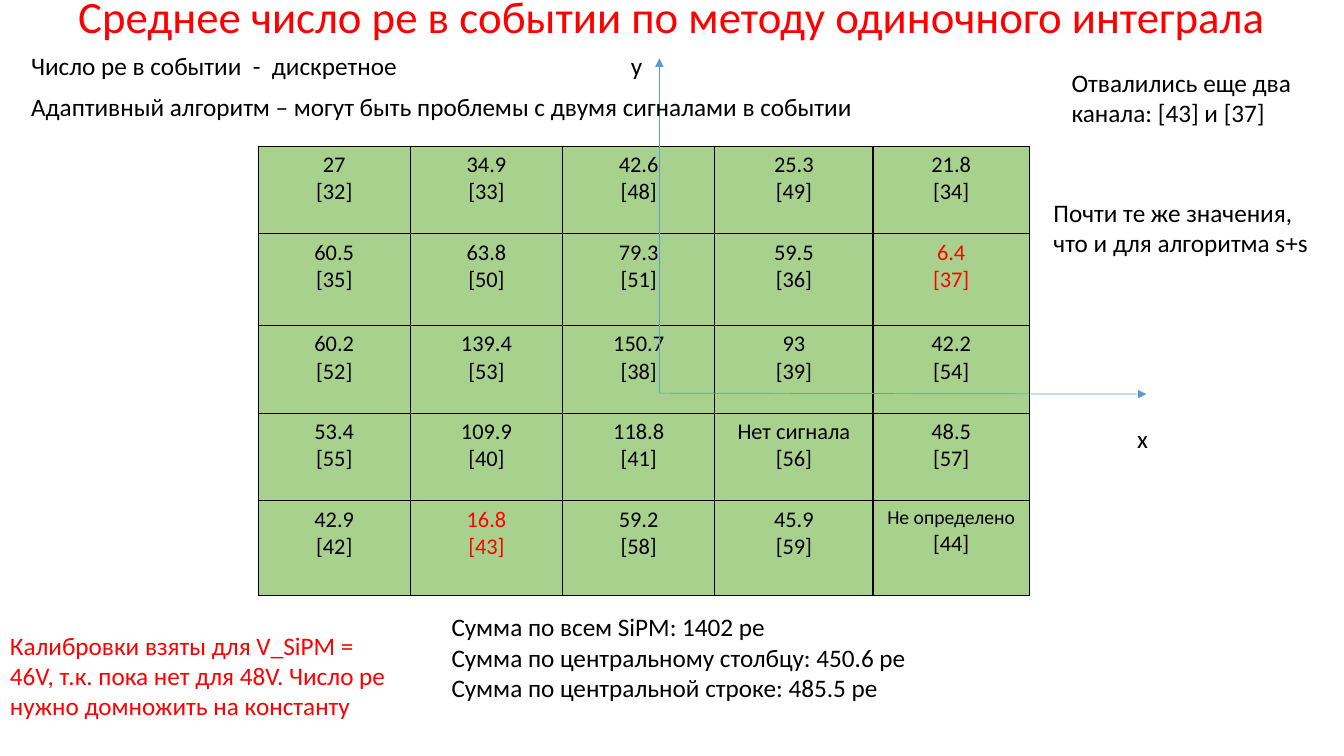
from lxml.etree import SubElement
from pptx import Presentation
from pptx.dml.color import RGBColor
from pptx.enum.shapes import MSO_CONNECTOR
from pptx.enum.text import MSO_ANCHOR, PP_ALIGN
from pptx.oxml import parse_xml
from pptx.oxml.ns import nsdecls, qn
from pptx.util import Pt

PX = 9144
SLIDE_SIZE = (1333, 750)
FONT = "Calibri"
BLACK = RGBColor(0x00, 0x00, 0x00)
RED = RGBColor(0xFF, 0x00, 0x00)
GREEN = RGBColor(0xA9, 0xD1, 0x8E)
BLUE = RGBColor(0x5B, 0x9B, 0xD5)

TITLE = "Среднее число pe в событии по методу одиночного интеграла"
TITLE_BOX = (0, 0, 1333, 86)
TITLE_BOTTOM_MARGIN = 49

GRID_CORNER = (256, 145)
COLUMN_WIDTHS = (151, 151, 151, 157, 155)
ROW_HEIGHTS = (87, 91, 87, 87, 94)
CHANNELS = [
    [("27", 32), ("34.9", 33), ("42.6", 48), ("25.3", 49), ("21.8", 34)],
    [("60.5", 35), ("63.8", 50), ("79.3", 51), ("59.5", 36), ("6.4", 37)],
    [("60.2", 52), ("139.4", 53), ("150.7", 38), ("93", 39), ("42.2", 54)],
    [("53.4", 55), ("109.9", 40), ("118.8", 41), ("Нет сигнала", 56), ("48.5", 57)],
    [("42.9", 42), ("16.8", 43), ("59.2", 58), ("45.9", 59), ("Не определено", 44)],
]
LOST_CHANNELS = {37, 43}
SMALL_VALUES = {"Не определено"}

AXIS_ORIGIN = (654, 390)
AXIS_ENDS = [(1137, 391), (654, 58)]

NOTES = [
    ((438, 602, 545, 101), BLACK, [
        "Сумма по всем SiPM: 1402 pe",
        "Сумма по центральному столбцу: 450.6 pe",
        "Сумма по центральной строке: 485.5 pe",
    ]),
    ((1118, 415, 32, 40), BLACK, ["x"]),
    ((616, 45, 32, 40), BLACK, ["y"]),
    ((21, 45, 479, 40), BLACK, ["Число pe в событии  -  дискретное"]),
    ((1053, 62, 243, 71), BLACK, ["Отвалились еще два канала: [43] и [37]"]),
    ((21, 86, 838, 40), BLACK,
     ["Адаптивный алгоритм – могут быть проблемы с двумя сигналами в событии"]),
    ((1035, 191, 282, 71), BLACK, ["Почти те же значения, что и для алгоритма s+s"]),
    ((0, 620, 409, 101), RED,
     ["Калибровки взяты для V_SiPM = 46V, т.к. пока нет для 48V. "
      "Число pe нужно домножить на константу"]),
]


def emu(lengths):
    return [length * PX for length in lengths]


def write(frame, lines, color, align=PP_ALIGN.LEFT):
    frame.word_wrap = True
    for index, (text, size) in enumerate(lines):
        paragraph = frame.paragraphs[0] if index == 0 else frame.add_paragraph()
        paragraph.alignment = align
        run = paragraph.add_run()
        run.text = text
        run.font.name = FONT
        run.font.size = Pt(size)
        run.font.color.rgb = color


def add_borders(cell):
    properties = cell._tc.get_or_add_tcPr()
    for index, side in enumerate(("lnL", "lnR", "lnT", "lnB")):
        properties.insert(index, parse_xml(
            f'<a:{side} {nsdecls("a")} w="{Pt(1)}"><a:solidFill>'
            f'<a:srgbClr val="{BLACK}"/></a:solidFill></a:{side}>'))


def add_grid(slide):
    size = (sum(COLUMN_WIDTHS), sum(ROW_HEIGHTS))
    grid = slide.shapes.add_table(
        len(ROW_HEIGHTS), len(COLUMN_WIDTHS), *emu(GRID_CORNER + size)).table
    grid.first_row = False
    grid.horz_banding = False
    for column, width in zip(grid.columns, COLUMN_WIDTHS):
        column.width = width * PX
    for row, height, channels in zip(grid.rows, ROW_HEIGHTS, CHANNELS):
        row.height = height * PX
        for cell, (value, channel) in zip(row.cells, channels):
            cell.fill.solid()
            cell.fill.fore_color.rgb = GREEN
            add_borders(cell)
            lines = [(value, 14 if value in SMALL_VALUES else 16), (f"[{channel}]", 16)]
            color = RED if channel in LOST_CHANNELS else BLACK
            write(cell.text_frame, lines, color, PP_ALIGN.CENTER)


def add_title(slide):
    frame = slide.shapes.add_textbox(*emu(TITLE_BOX)).text_frame
    frame.vertical_anchor = MSO_ANCHOR.MIDDLE
    frame.margin_top = 0
    frame.margin_bottom = TITLE_BOTTOM_MARGIN * PX
    write(frame, [(TITLE, 32)], RED, PP_ALIGN.CENTER)
    frame.paragraphs[0].line_spacing = 0.9


def add_axis(slide, end):
    axis = slide.shapes.add_connector(MSO_CONNECTOR.STRAIGHT, *emu(AXIS_ORIGIN + end))
    axis.line.color.rgb = BLUE
    axis.line.width = Pt(0.5)
    SubElement(axis.line._get_or_add_ln(), qn("a:tailEnd"), type="triangle")
    SubElement(axis._element.spPr, qn("a:effectLst"))


def main():
    presentation = Presentation()
    presentation.slide_width, presentation.slide_height = emu(SLIDE_SIZE)
    slide = presentation.slides.add_slide(presentation.slide_layouts[6])
    add_grid(slide)
    add_title(slide)
    for end in AXIS_ENDS:
        add_axis(slide, end)
    for box, color, lines in NOTES:
        note = slide.shapes.add_textbox(*emu(box))
        write(note.text_frame, [(line, 18) for line in lines], color)
    presentation.save("out.pptx")


if __name__ == "__main__":
    main()
